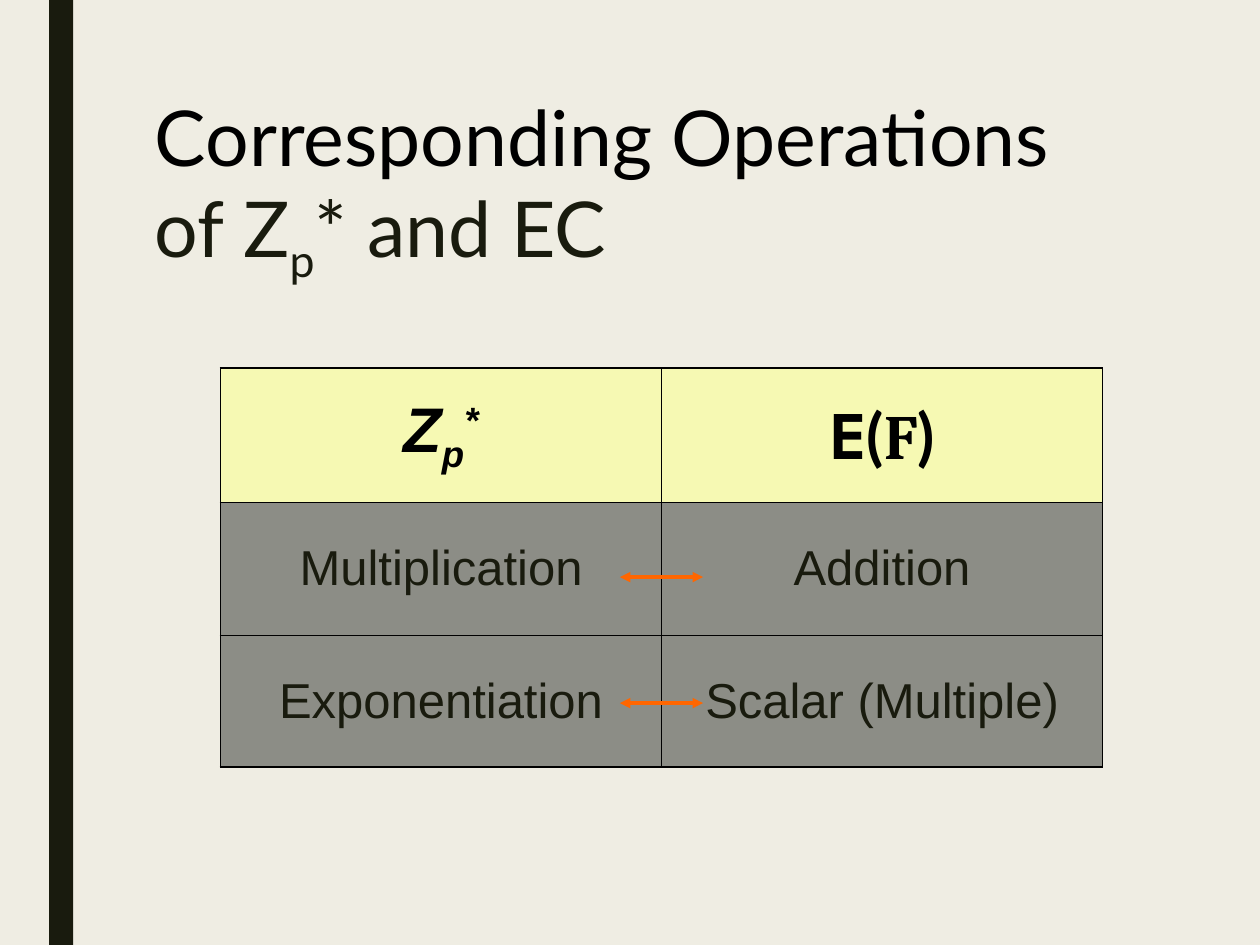
import pptx
import pptx.dml.color
import pptx.enum.shapes
import pptx.enum.text
import pptx.oxml
import pptx.oxml.ns
import pptx.util
from pptx.util import Inches

INK = "191B0E"
BLACK = "000000"
OPERATIONS = [("Multiplication", "Addition"), ("Exponentiation", "Scalar (Multiple)")]


def rgb(value):
    """Turn a hex string into a colour."""
    return pptx.dml.color.RGBColor.from_string(value)


def paint(fill, color):
    """Give a fill one solid colour."""
    fill.solid()
    fill.fore_color.rgb = rgb(color)


def add_xml(parent, tag, content="", attributes="", index=None):
    """Insert a DrawingML element into its parent, at the end by default."""
    namespace = pptx.oxml.ns.nsdecls("a")
    element = pptx.oxml.parse_xml(f"<a:{tag} {namespace} {attributes}>{content}</a:{tag}>")
    parent.insert(len(parent) if index is None else index, element)


def write_text(paragraph, text, size=28, font="Arial", color=INK, bold=False, italic=False, baseline=0):
    """Append one formatted run to a paragraph."""
    run = paragraph.add_run()
    run.text = text
    run.font.size = pptx.util.Pt(size)
    run.font.name = font
    run.font.bold = bold
    run.font.italic = italic
    run.font.color.rgb = rgb(color)
    if baseline:
        run.font._element.set("baseline", str(baseline * 1000))


def add_side_bar(slide, left, top, width, height):
    """Draw the dark vertical bar."""
    bar = slide.shapes.add_shape(pptx.enum.shapes.MSO_SHAPE.RECTANGLE, left, top, width, height)
    bar.shadow.inherit = False
    paint(bar.fill, INK)
    bar.line.fill.background()


def fill_title(slide, left, top, width, height):
    """Place and write the two-line title."""
    title = slide.shapes.title
    title.left, title.top, title.width, title.height = left, top, width, height
    frame = title.text_frame
    frame.word_wrap = True
    frame.auto_size = pptx.enum.text.MSO_AUTO_SIZE.NONE
    frame.vertical_anchor = pptx.enum.text.MSO_ANCHOR.TOP
    heading = frame.paragraphs[0]
    heading.alignment = pptx.enum.text.PP_ALIGN.LEFT
    heading.line_spacing = 0.89
    style = {"size": 44, "font": "Lato"}
    write_text(heading, "Corresponding Operations", color=BLACK, **style)
    heading.add_line_break()
    write_text(heading, "of Z", **style)
    write_text(heading, "p", baseline=-25, **style)
    write_text(heading, "* and EC", **style)


def add_borders(cell, row, column, last_row, last_column):
    """Draw cell borders, heavier along the outside of the table."""
    outer_sides = {"L": column == 0, "R": column == last_column, "T": row == 0, "B": row == last_row}
    line_fill = f'<a:solidFill><a:srgbClr val="{BLACK}"/></a:solidFill>'
    for index, (side, is_outer) in enumerate(outer_sides.items()):
        width = pptx.util.Pt(1.08 if is_outer else 0.45)
        add_xml(cell._tc.get_or_add_tcPr(), f"ln{side}", line_fill, f'w="{width}"', index)


def add_operations_table(slide, left, top, width, height):
    """Build the table that pairs the operations of both groups."""
    table = slide.shapes.add_table(len(OPERATIONS) + 1, 2, left, top, width, height).table
    for column in table.columns:
        column.width = width // 2
    for row, row_height in zip(table.rows, (1.07, 1.05, 1.05)):
        row.height = Inches(row_height)

    header = {"size": 36, "color": BLACK, "bold": True}
    group = {"italic": True, **header}
    rows = [
        (
            [("Z", group), ("p", {"baseline": -25, **group}), ("*", {"baseline": 30, **group})],
            [(text, {"font": font, **header}) for text, font in
             (("E", "Noto Sans Mono"), ("(", "Lato"), ("F", "Cambria"), (")", "Lato"))],
        )
    ] + [[[(name, {})] for name in pair] for pair in OPERATIONS]

    for row, contents in enumerate(rows):
        for column, runs in enumerate(contents):
            cell = table.cell(row, column)
            cell.vertical_anchor = pptx.enum.text.MSO_ANCHOR.MIDDLE
            paint(cell.fill, "8C8D86" if row else "F6F9B3")
            add_borders(cell, row, column, len(rows) - 1, 1)
            paragraph = cell.text_frame.paragraphs[0]
            paragraph.alignment = pptx.enum.text.PP_ALIGN.CENTER
            for text, style in runs:
                write_text(paragraph, text, **style)


def add_matching_arrows(slide, left, top, width, height):
    """Draw a double arrow at the top and at the bottom of the box."""
    for y in (top, top + height):
        arrow = slide.shapes.add_connector(
            pptx.enum.shapes.MSO_CONNECTOR.STRAIGHT, left, y, left + width, y)
        arrow.line.width = pptx.util.Pt(2)
        arrow.line.color.rgb = rgb("FF6600")
        for end in ("headEnd", "tailEnd"):
            add_xml(arrow.line._get_or_add_ln(), end, attributes='type="triangle"')
        add_xml(arrow._element.spPr, "effectLst")


def main():
    """Build and save the slide."""
    deck = pptx.Presentation()
    deck.slide_width, deck.slide_height = Inches(10), Inches(7.5)
    slide = deck.slides.add_slide(deck.slide_layouts.get_by_name("Title Only"))
    paint(slide.background.fill, "EFEDE3")
    add_side_bar(slide, Inches(0.39), 0, Inches(0.19), deck.slide_height)
    fill_title(slide, Inches(1.13), Inches(0.75), Inches(7.87), Inches(1.63))
    add_operations_table(slide, Inches(1.75), Inches(2.92), Inches(7), Inches(3.17))
    add_matching_arrows(slide, Inches(4.92), Inches(4.58), Inches(0.66), Inches(1))
    deck.save("out.pptx")


if __name__ == "__main__":
    main()
